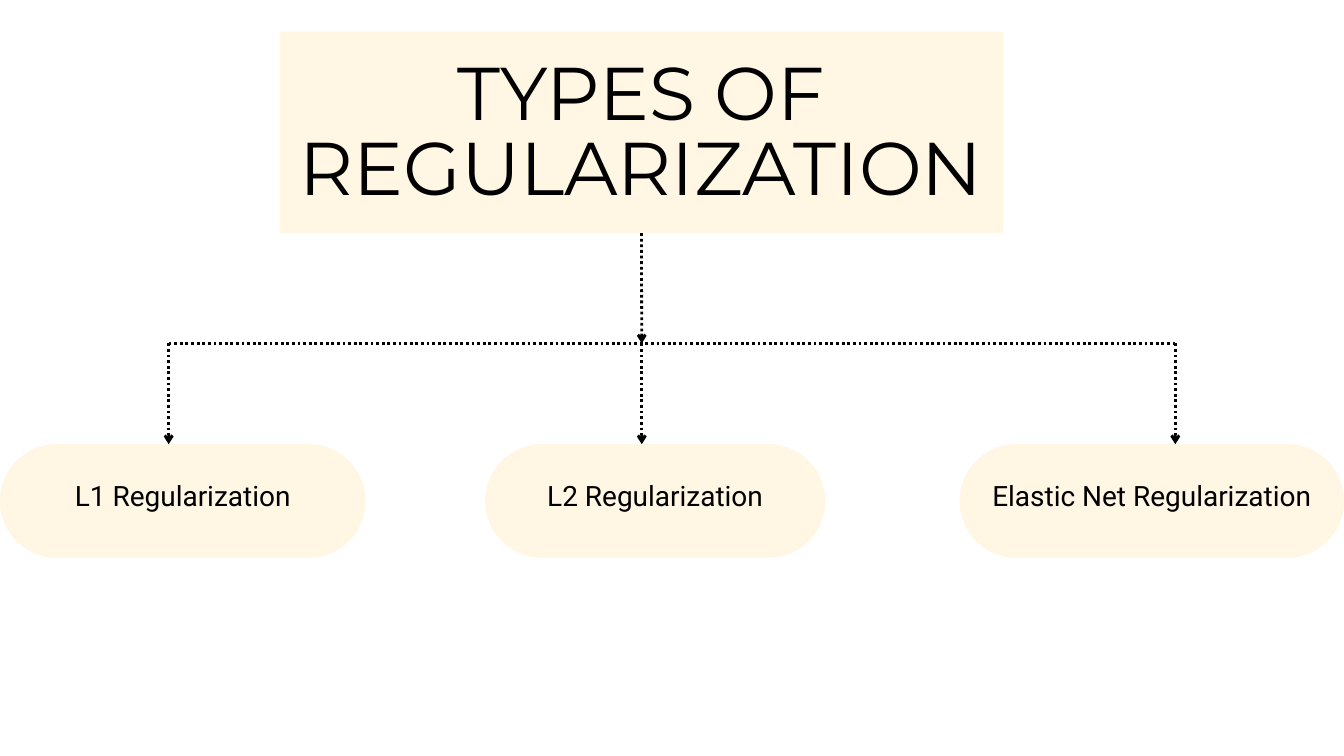
"""Build a tree slide showing the types of regularization."""
from dataclasses import dataclass

from lxml.etree import SubElement
from pptx import Presentation
from pptx.dml.color import RGBColor
from pptx.enum.dml import MSO_LINE
from pptx.enum.shapes import MSO_CONNECTOR, MSO_SHAPE
from pptx.enum.text import MSO_ANCHOR, PP_ALIGN
from pptx.oxml.ns import qn
from pptx.shapes.autoshape import Shape
from pptx.shapes.connector import Connector
from pptx.slide import Slide
from pptx.util import Inches, Pt

COLORS = {"cream": "FFF6E3", "black": "000000"}
TITLE_LEFT, TITLE_TOP, TITLE_W, TITLE_H = 4.16, 0.47, 10.77, 3
TRUNK_X, BRANCH_Y = 9.55, 5.11
BOX_TOP, BOX_H = 6.61, 1.69


@dataclass
class Branch:
    label: str
    left: float
    width: float
    arrow_x: float


BRANCHES = [
    Branch("L1 Regularization", 0, 5.44, 2.51),
    Branch("L2 Regularization", 7.22, 5.06, TRUNK_X),
    Branch("Elastic Net Regularization", 14.28, 5.72, 17.49),
]


def add_box(s: Slide, kind: MSO_SHAPE, left: float, top: float,
            width: float, height: float) -> Shape:
    """Add a cream shape without an outline."""
    sp = s.shapes.add_shape(kind, Inches(left), Inches(top), Inches(width), Inches(height))
    sp.shadow.inherit = False
    sp.fill.solid()
    sp.fill.fore_color.rgb = RGBColor.from_string(COLORS["cream"])
    sp.line.fill.background()
    return sp


def set_text(sp: Shape, text: str, *, font: str, size: float, spacing: float,
             anchor: MSO_ANCHOR, side: float, top: float, bottom: float) -> None:
    """Write one centred black paragraph into a shape."""
    tf = sp.text_frame
    tf.word_wrap = True
    tf.vertical_anchor = anchor
    tf.margin_left = tf.margin_right = Inches(side)
    tf.margin_top, tf.margin_bottom = Inches(top), Inches(bottom)
    p = tf.paragraphs[0]
    p.alignment = PP_ALIGN.CENTER
    p.line_spacing = Pt(spacing)
    r = p.add_run()
    r.text = text
    r.font.name = font
    r.font.size = Pt(size)
    r.font.color.rgb = RGBColor.from_string(COLORS["black"])


def add_line(s: Slide, x1: float, y1: float, x2: float, y2: float,
             arrow: bool = True) -> Connector:
    """Add a dotted line, with an arrowhead at its end by default."""
    cx = s.shapes.add_connector(MSO_CONNECTOR.STRAIGHT, Inches(x1), Inches(y1),
                                Inches(x2), Inches(y2))
    cx.line.width = Pt(3)
    cx.line.color.rgb = RGBColor.from_string(COLORS["black"])
    cx.line.dash_style = MSO_LINE.ROUND_DOT
    if arrow:
        SubElement(cx.line._get_or_add_ln(), qn("a:tailEnd"), type="arrow")
    SubElement(cx._element.spPr, qn("a:effectLst"))
    return cx


def main() -> None:
    """Draw the title, the connecting lines and the three branches."""
    prs = Presentation()
    prs.slide_width, prs.slide_height = Inches(20), Inches(11.25)
    s = prs.slides.add_slide(prs.slide_layouts[6])

    title = add_box(s, MSO_SHAPE.RECTANGLE, TITLE_LEFT, TITLE_TOP, TITLE_W, TITLE_H)
    set_text(title, "TYPES OF REGULARIZATION", font="Montserrat", size=80, spacing=80,
             anchor=MSO_ANCHOR.TOP, side=0, top=0.44, bottom=0)
    trunk = add_line(s, TRUNK_X, TITLE_TOP + TITLE_H, TRUNK_X, BRANCH_Y)
    trunk.begin_connect(title, 2)
    add_line(s, BRANCHES[0].arrow_x, BRANCH_Y, BRANCHES[-1].arrow_x, BRANCH_Y, arrow=False)

    for b in BRANCHES:
        add_line(s, b.arrow_x, BRANCH_Y, b.arrow_x, BOX_TOP)
        sp = add_box(s, MSO_SHAPE.ROUNDED_RECTANGLE, b.left, BOX_TOP, b.width, BOX_H)
        sp.adjustments[0] = 0.5
        set_text(sp, b.label, font="Roboto", size=30, spacing=42,
                 anchor=MSO_ANCHOR.MIDDLE, side=0.06, top=0.06, bottom=0.3)

    prs.save("out.pptx")


if __name__ == "__main__":
    main()
